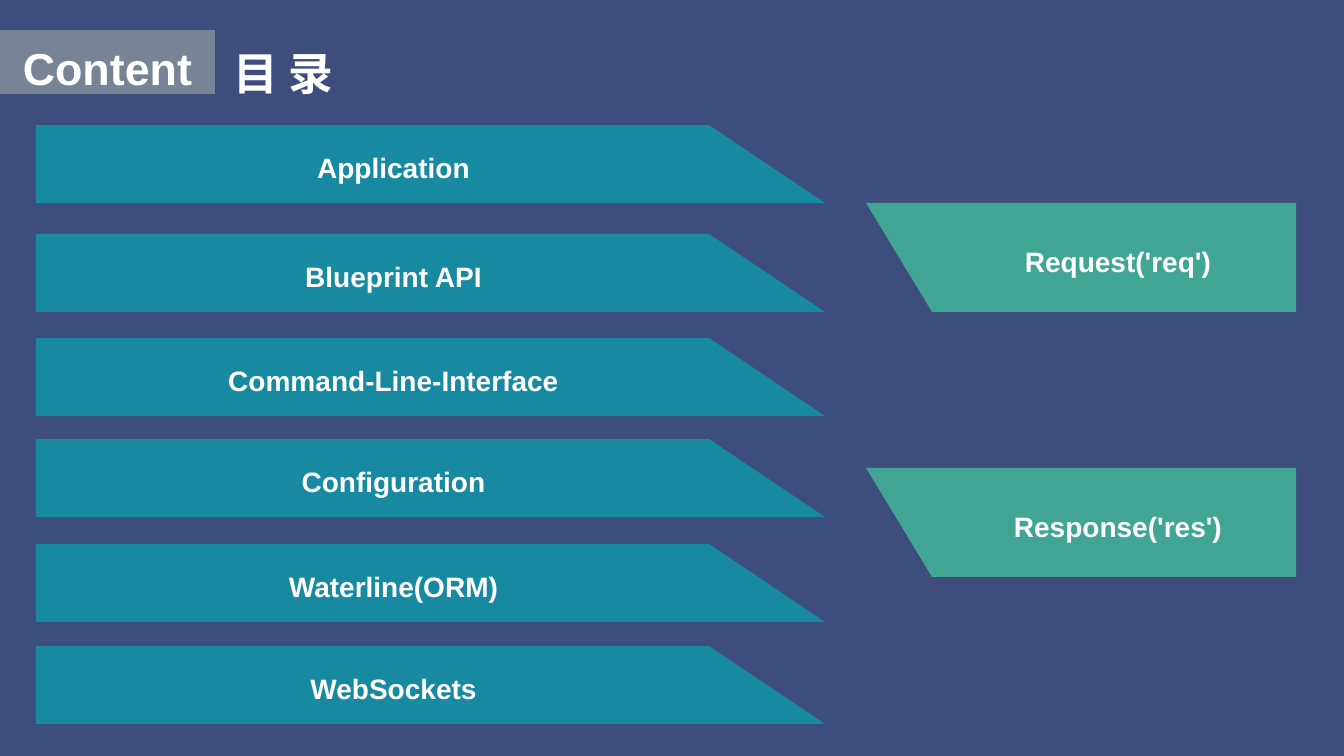
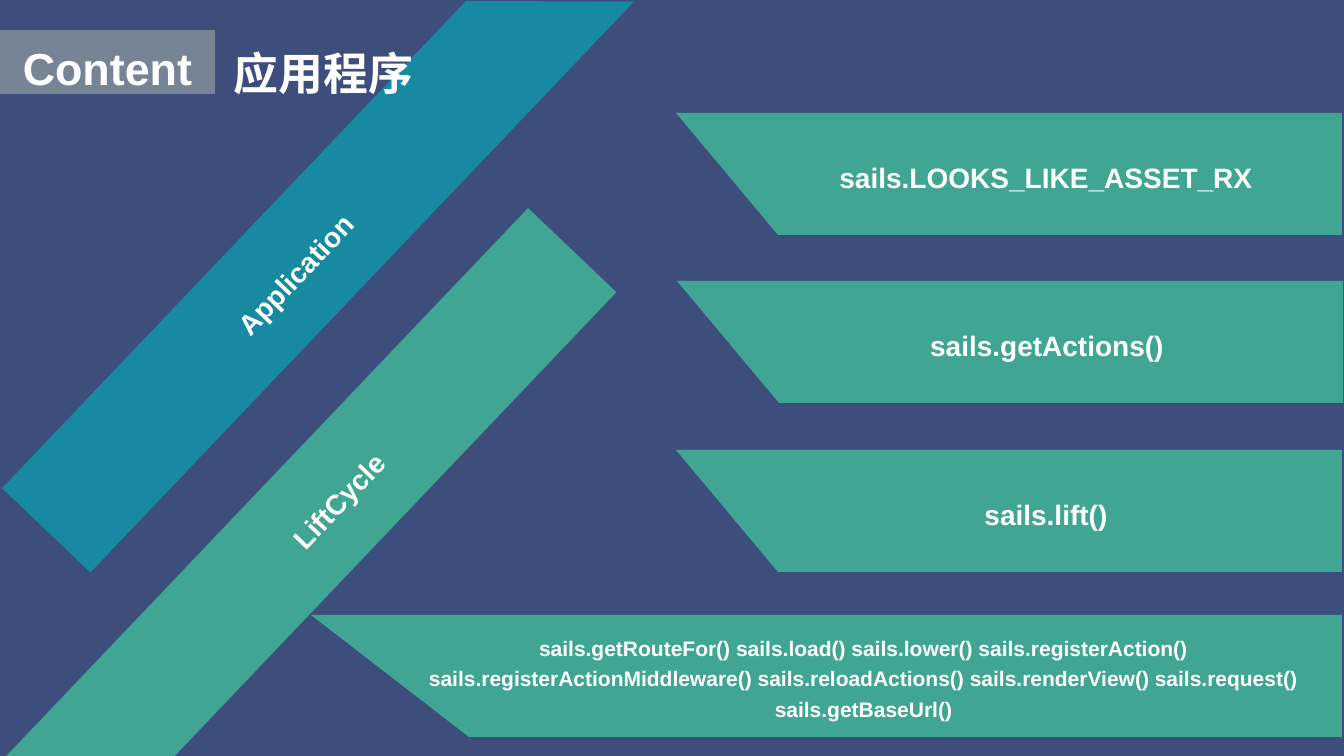
"""Build two agenda slides of slanted bars under a shared heading."""
from pptx import Presentation
from pptx import util as u
from pptx.dml.color import RGBColor
from pptx.enum import shapes, text

PX = 9071
NAVY = RGBColor(0x3E, 0x4E, 0x7C)
TEAL = RGBColor(0x17, 0x8A, 0xA1)
GREEN = RGBColor(0x40, 0xA6, 0x93)
GREY = RGBColor(0x77, 0x84, 0x95)
WHITE = RGBColor(0xFF, 0xFF, 0xFF)
CENTER = text.PP_ALIGN.CENTER
TILT = 313.6


def write(frame, words, size, insets, align=CENTER, spacing=1.2):
    frame.text = words
    frame.word_wrap = True
    frame.auto_size = text.MSO_AUTO_SIZE.NONE
    frame.vertical_anchor = text.MSO_ANCHOR.MIDDLE
    left, top, right, bottom = insets
    frame.margin_left, frame.margin_right = left * PX, right * PX
    frame.margin_top, frame.margin_bottom = top * PX, bottom * PX
    for para in frame.paragraphs:
        para.alignment = align
        para.line_spacing = spacing
        para.font.name = "Arial"
        para.font.size = u.Pt(size)
        para.font.bold = True
        para.font.color.rgb = WHITE


def add_bar(page, words, color, left, top, width, height, cut, size=20, rotation=0):
    right, bottom = left + width, top + height
    if color == TEAL:
        corners = [(right - cut, top), (right, bottom), (left, bottom)]
        insets = (10, 5, 84, 5)
    else:
        corners = [(right, top), (right, bottom), (left + cut, bottom)]
        insets = (84, 5, 10, 5)
    outline = page.shapes.build_freeform(left, top, scale=PX)
    outline.add_line_segments(corners, close=True)
    bar = outline.convert_to_shape()
    bar.rotation = rotation
    bar.shadow.inherit = False
    bar.fill.solid()
    bar.fill.fore_color.rgb = color
    bar.line.fill.background()
    write(bar.text_frame, words, size, insets)


deck = Presentation()
deck.slide_width, deck.slide_height = 1344 * PX, 756 * PX
background = deck.slide_master.background.fill
background.solid()
background.fore_color.rgb = NAVY
title_only = deck.slide_layouts[5]

contents = deck.slides.add_slide(title_only)
topics = [
    ("Application", 125),
    ("Blueprint API", 234),
    ("Command-Line-Interface", 338),
    ("Configuration", 439),
    ("Waterline(ORM)", 544),
    ("WebSockets", 646),
]
for topic, top in topics:
    add_bar(contents, topic, TEAL, 36, top, 789, 78, 116)
for topic, top in [("Request('req')", 203), ("Response('res')", 468)]:
    add_bar(contents, topic, GREEN, 866, top, 430, 109, 66)

application = deck.slides.add_slide(title_only)
add_bar(application, "LiftCycle", GREEN, -69, 464, 759, 122, 116, rotation=TILT)
add_bar(application, "Application", TEAL, -76, 184, 788, 122, 115, rotation=TILT)
members = [
    ("sails.LOOKS_LIKE_ASSET_RX", 676, 113),
    ("sails.getActions()", 677, 281),
    ("sails.lift()", 676, 450),
]
for member, left, top in members:
    add_bar(application, member, GREEN, left, top, 666, 122, 102)
other_members = (
    "sails.getRouteFor() sails.load() sails.lower() sails.registerAction() "
    "sails.registerActionMiddleware() sails.reloadActions() "
    "sails.renderView() sails.request()\n"
    "sails.getBaseUrl()"
)
add_bar(application, other_members, GREEN, 311, 615, 1031, 122, 158, size=15)

for page, heading in [(contents, "目 录"), (application, "应用程序")]:
    band = page.shapes.add_shape(
        shapes.MSO_SHAPE.RECTANGLE, 0, 30 * PX, 215 * PX, 64 * PX)
    band.shadow.inherit = False
    band.fill.solid()
    band.fill.fore_color.rgb = GREY
    band.line.fill.background()
    write(band.text_frame, "Content", 32, (0, 0, 0, 0))

    title = page.shapes.title
    title.left, title.top = 224 * PX, 19 * PX
    title.width, title.height = 300 * PX, 86 * PX
    write(title.text_frame, heading, 32, (10, 5, 10, 5),
          align=text.PP_ALIGN.LEFT, spacing=1.4)
    page.shapes.element.append(title.element)

deck.save("out.pptx")
